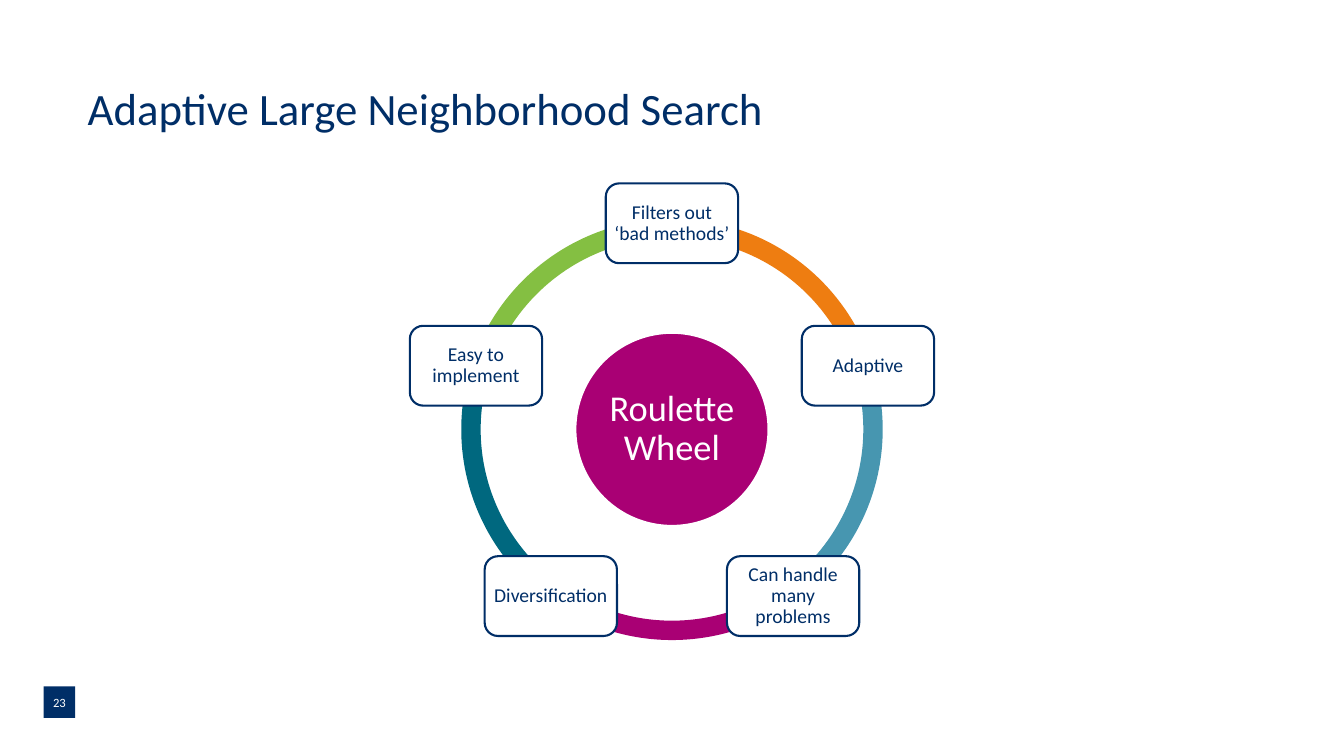
"""Build the Adaptive Large Neighborhood Search slide."""
import math

import pptx
import pptx.dml.color
import pptx.enum.shapes
import pptx.enum.text
import pptx.util

Pt = pptx.util.Pt
RGBColor = pptx.dml.color.RGBColor
SHAPES = pptx.enum.shapes.MSO_SHAPE
ALIGN = pptx.enum.text.PP_ALIGN

NAVY = RGBColor(0x00, 0x2E, 0x67)
WHITE = RGBColor(0xFF, 0xFF, 0xFF)
MAGENTA = RGBColor(0xA9, 0x00, 0x74)
ORANGE = RGBColor(0xEE, 0x7D, 0x11)
BLUE = RGBColor(0x47, 0x96, 0xB0)
TEAL = RGBColor(0x00, 0x68, 0x7F)
GREEN = RGBColor(0x84, 0xBF, 0x42)

CENTER_X, CENTER_Y = 480, 306.7
LABEL_RADIUS = 147.2
RING_SIZE = 301
HUB_SIZE = 138
LABEL_WIDTH, LABEL_HEIGHT = 94.5, 57
WHEEL = [
    (["Filters out", "‘bad methods’"], ORANGE),
    (["Adaptive"], BLUE),
    (["Can handle", "many", "problems"], MAGENTA),
    (["Diversification"], TEAL),
    (["Easy to", "implement"], GREEN),
]


def write_text(shape, lines, size, color, align=ALIGN.CENTER, wrap=True, spacing=0.9):
    """Write one paragraph per line, centred vertically without margins."""
    frame = shape.text_frame
    frame.word_wrap = wrap
    frame.vertical_anchor = pptx.enum.text.MSO_ANCHOR.MIDDLE
    frame.margin_left = frame.margin_right = 0
    frame.margin_top = frame.margin_bottom = 0
    for index, line in enumerate(lines):
        paragraph = frame.add_paragraph() if index else frame.paragraphs[0]
        paragraph.alignment = align
        paragraph.line_spacing = spacing
        run = paragraph.add_run()
        run.text = line
        run.font.name = "Calibri"
        run.font.size = Pt(size)
        run.font.color.rgb = color


def add_centered_shape(slide, kind, x, y, width, height, fill, line=None):
    """Add a filled preset shape around a centre point."""
    shape = slide.shapes.add_shape(
        kind, Pt(x - width / 2), Pt(y - height / 2), Pt(width), Pt(height))
    shape.shadow.inherit = False
    shape.fill.solid()
    shape.fill.fore_color.rgb = fill
    if line is None:
        shape.line.fill.background()
    else:
        shape.line.color.rgb = line
        shape.line.width = Pt(1.5)
    return shape


def add_title(slide, text):
    """Add the slide title."""
    title = slide.shapes.add_textbox(Pt(62.6), Pt(62.6), Pt(835), Pt(33))
    write_text(title, [text], 32, NAVY, ALIGN.LEFT)


def add_arc(slide, start, sweep, color):
    """Add a ring segment, with angles in degrees clockwise from the right."""
    arc = add_centered_shape(
        slide, SHAPES.BLOCK_ARC, CENTER_X, CENTER_Y, RING_SIZE, RING_SIZE, color)
    arc.adjustments[0] = start % 360 * 0.6
    arc.adjustments[1] = (start + sweep) % 360 * 0.6
    arc.adjustments[2] = 0.046


def add_hub(slide, text):
    """Add the circle in the middle of the wheel."""
    hub = add_centered_shape(
        slide, SHAPES.OVAL, CENTER_X, CENTER_Y, HUB_SIZE, HUB_SIZE, MAGENTA, WHITE)
    write_text(hub, [text], 26, WHITE)


def add_label(slide, angle, lines):
    """Add a rounded label on the ring at the given angle."""
    x = CENTER_X + LABEL_RADIUS * math.cos(math.radians(angle))
    y = CENTER_Y + LABEL_RADIUS * math.sin(math.radians(angle))
    label = add_centered_shape(
        slide, SHAPES.ROUNDED_RECTANGLE, x, y, LABEL_WIDTH, LABEL_HEIGHT, WHITE, NAVY)
    write_text(label, lines, 14, NAVY, wrap=False)


def add_page_number(slide, number):
    """Add the square with the page number."""
    square = add_centered_shape(slide, SHAPES.RECTANGLE, 42.5, 501.6, 22.5, 22.5, NAVY)
    write_text(square, [number], 9, WHITE, spacing=1.0)


def main():
    """Create the presentation and save it."""
    presentation = pptx.Presentation()
    presentation.slide_width = Pt(960)
    presentation.slide_height = Pt(540)
    slide = presentation.slides.add_slide(presentation.slide_layouts[6])

    add_title(slide, "Adaptive Large Neighborhood Search")
    step = 360 / len(WHEEL)
    for index, (_, color) in enumerate(WHEEL):
        add_arc(slide, index * step - 90, step, color)
    add_hub(slide, "Roulette Wheel")
    for index, (lines, _) in enumerate(WHEEL):
        add_label(slide, index * step - 90, lines)
    add_page_number(slide, "23")

    presentation.save("out.pptx")


if __name__ == "__main__":
    main()
